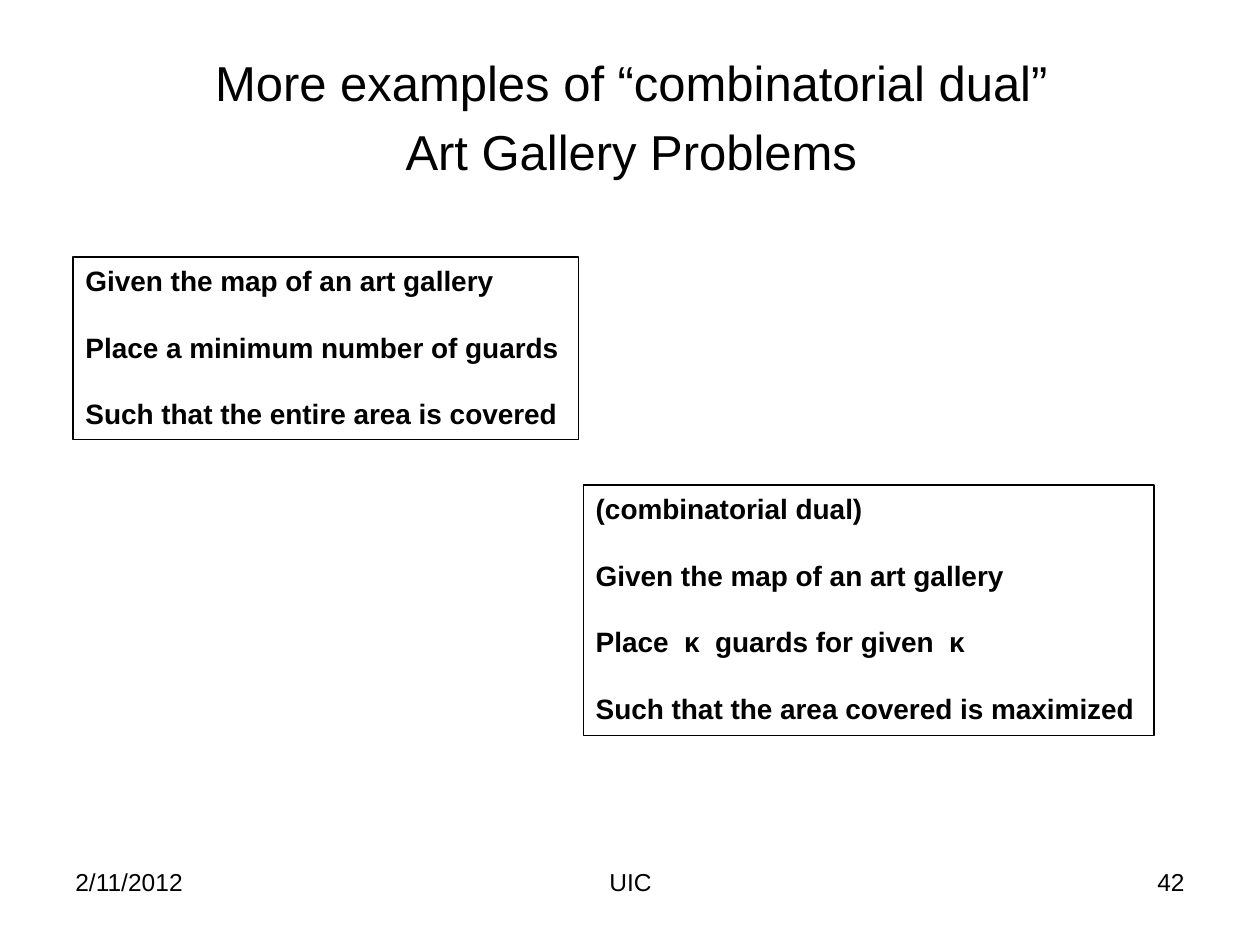
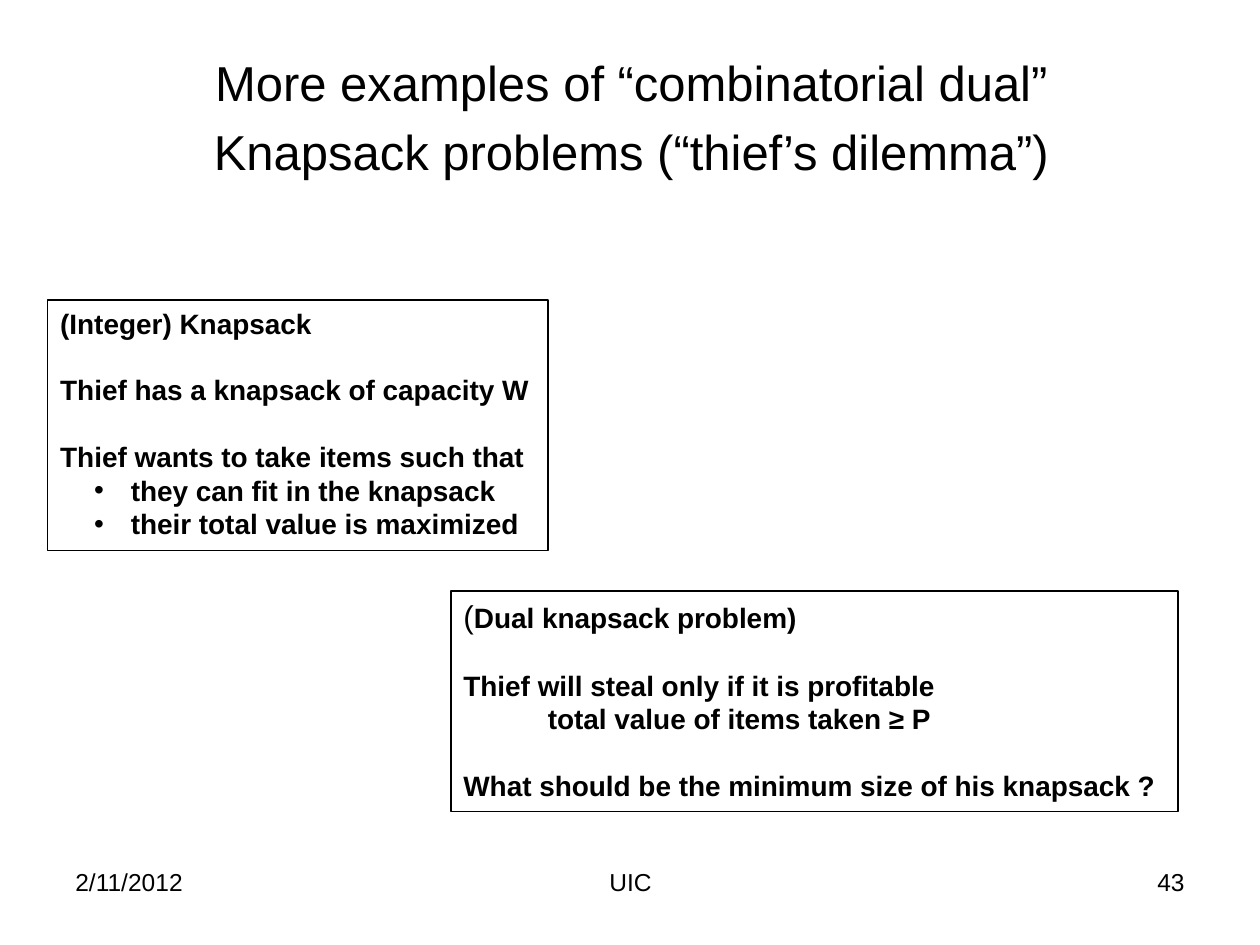
from dataclasses import dataclass

from lxml import etree
from pptx import Presentation
from pptx import util as u
from pptx.dml.color import RGBColor
from pptx.enum import text
from pptx.oxml.ns import qn


@dataclass(frozen=True)
class Theme:
    font: str = "Arial"
    ink: RGBColor = RGBColor(0, 0, 0)
    title: int = 28
    bracket: int = 18
    body: int = 16
    footer: int = 14
    outline: float = 0.75
    blank_line: int = 19      # gap between statements, in points
    title_gap: float = 0.2    # share of the title size


@dataclass(frozen=True)
class Statement:
    words: str
    gap: bool = True          # set apart from the line above
    bullet: bool = False
    indent: float = 0         # in columns
    opening: str = ""         # lighter, larger text in front


class Lecture:
    """Style, grid and current slide of the deck."""
    COLUMNS, ROWS = 100, 75
    DATE, VENUE = "2/11/2012", "UIC"

    def __init__(self, theme):
        self.theme = theme
        self.deck = Presentation()
        self.deck.slide_width, self.deck.slide_height = u.Inches(10), u.Inches(7.5)
        self.page = None

    def across(self, columns):
        return u.Emu(int(self.deck.slide_width * columns / self.COLUMNS))

    def down(self, rows):
        return u.Emu(int(self.deck.slide_height * rows / self.ROWS))

    def area(self, left, top, width, height):
        return self.across(left), self.down(top), self.across(width), self.down(height)

    def span(self, para, words, size, bold=False):
        span = para.add_run()
        span.text = words
        span.font.name, span.font.size, span.font.bold = self.theme.font, u.Pt(size), bold
        span.font.color.rgb = self.theme.ink

    def paragraphs(self, frame, count):
        return [frame.paragraphs[0]] + [frame.add_paragraph() for _ in range(count - 1)]

    def text_box(self, *place):
        box = self.page.shapes.add_textbox(*self.area(*place))
        box.text_frame.word_wrap = True
        return box

    # Title and footer, shared by every slide
    def new_page(self, number, *title_lines):
        self.page = self.deck.slides.add_slide(self.deck.slide_layouts[5])
        self.title(title_lines)
        left, center, right = text.PP_ALIGN.LEFT, text.PP_ALIGN.CENTER, text.PP_ALIGN.RIGHT
        self.footer(self.DATE, 5, 23.3, left)
        self.footer(self.VENUE, 34.2, 31.7, center)
        self.footer(str(number), 71.7, 23.3, right)

    def title(self, lines):
        title = self.page.shapes.title
        title.left, title.top, title.width, title.height = self.area(5.1, 3.7, 90, 11.4)
        frame = title.text_frame
        frame.vertical_anchor = text.MSO_ANCHOR.TOP
        frame.auto_size = text.MSO_AUTO_SIZE.NONE
        for para, words in zip(self.paragraphs(frame, len(lines)), lines):
            para.alignment = text.PP_ALIGN.CENTER
            para.space_before = u.Pt(self.theme.title * self.theme.title_gap)
            self.span(para, words, self.theme.title)

    def footer(self, words, left, width, alignment):
        para = self.text_box(left, 68.3, width, 5.2).text_frame.paragraphs[0]
        para.alignment = alignment
        self.span(para, words, self.theme.footer)

    # Outlined problem statement
    def problem(self, place, *statements):
        box = self.text_box(*place)
        box.line.color.rgb, box.line.width = self.theme.ink, u.Pt(self.theme.outline)
        paras = self.paragraphs(box.text_frame, len(statements))
        for index, (para, statement) in enumerate(zip(paras, statements)):
            if index and statement.gap:
                para.space_before = u.Pt(self.theme.blank_line)
            if statement.bullet:
                self.indent(para, 5.6, -2.9, "•")
            elif statement.indent:
                self.indent(para, statement.indent)
            if statement.opening:
                self.span(para, statement.opening, self.theme.bracket)
            self.span(para, statement.words, self.theme.body, bold=True)

    def indent(self, para, margin, first=0, bullet=None):
        properties = para._p.get_or_add_pPr()
        properties.set("marL", str(self.across(margin)))
        properties.set("indent", str(self.across(first)))
        if bullet:
            etree.SubElement(properties, qn("a:buFont")).set("typeface", self.theme.font)
            etree.SubElement(properties, qn("a:buChar")).set("char", bullet)


def main():
    lecture = Lecture(Theme())
    heading = "More examples of “combinatorial dual”"

    # Art gallery
    lecture.new_page(42, heading, "Art Gallery Problems")
    lecture.problem(
        (5.8, 20.4, 40.1, 14.5),
        Statement("Given the map of an art gallery"),
        Statement("Place a minimum number of guards"),
        Statement("Such that the entire area is covered"))
    lecture.problem(
        (46.3, 38.5, 45.3, 19.9),
        Statement("(combinatorial dual)"),
        Statement("Given the map of an art gallery"),
        Statement("Place  κ  guards for given  κ"),
        Statement("Such that the area covered is maximized"))

    # Knapsack
    lecture.new_page(43, heading, "Knapsack problems (“thief’s dilemma”)")
    lecture.problem(
        (3.8, 23.8, 39.7, 19.9),
        Statement("(Integer) Knapsack"),
        Statement("Thief has a knapsack of capacity W"),
        Statement("Thief wants to take items such that"),
        Statement("they can fit in the knapsack", gap=False, bullet=True),
        Statement("their total value is maximized", gap=False, bullet=True))
    lecture.problem(
        (35.8, 46.9, 57.7, 17.5),
        Statement("Dual knapsack problem)", opening="("),
        Statement("Thief will steal only if it is profitable"),
        Statement("total value of items taken ≥ P", gap=False, indent=6.7),
        Statement("What should be the minimum size of his knapsack ?"))

    lecture.deck.save("out.pptx")


if __name__ == "__main__":
    main()
